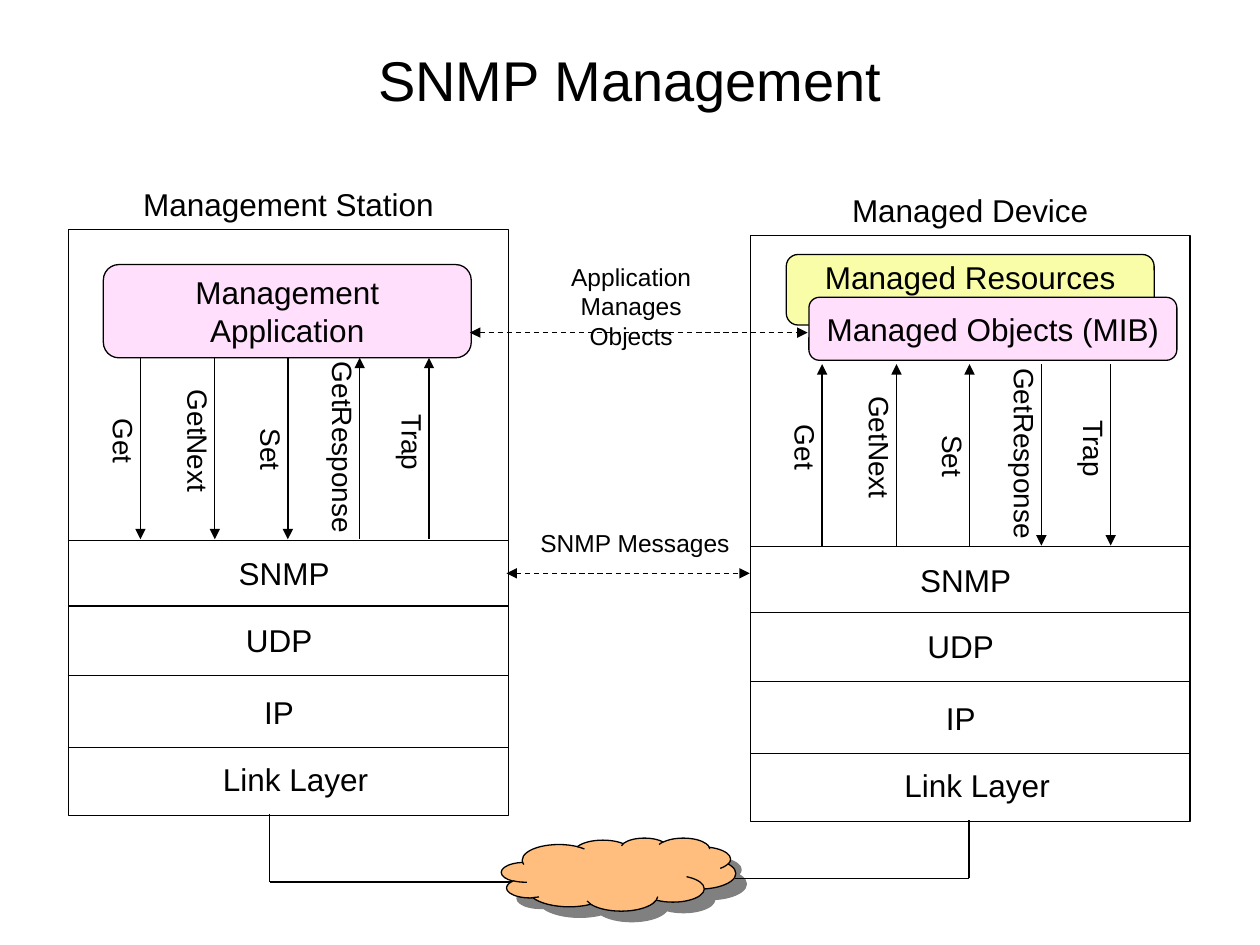
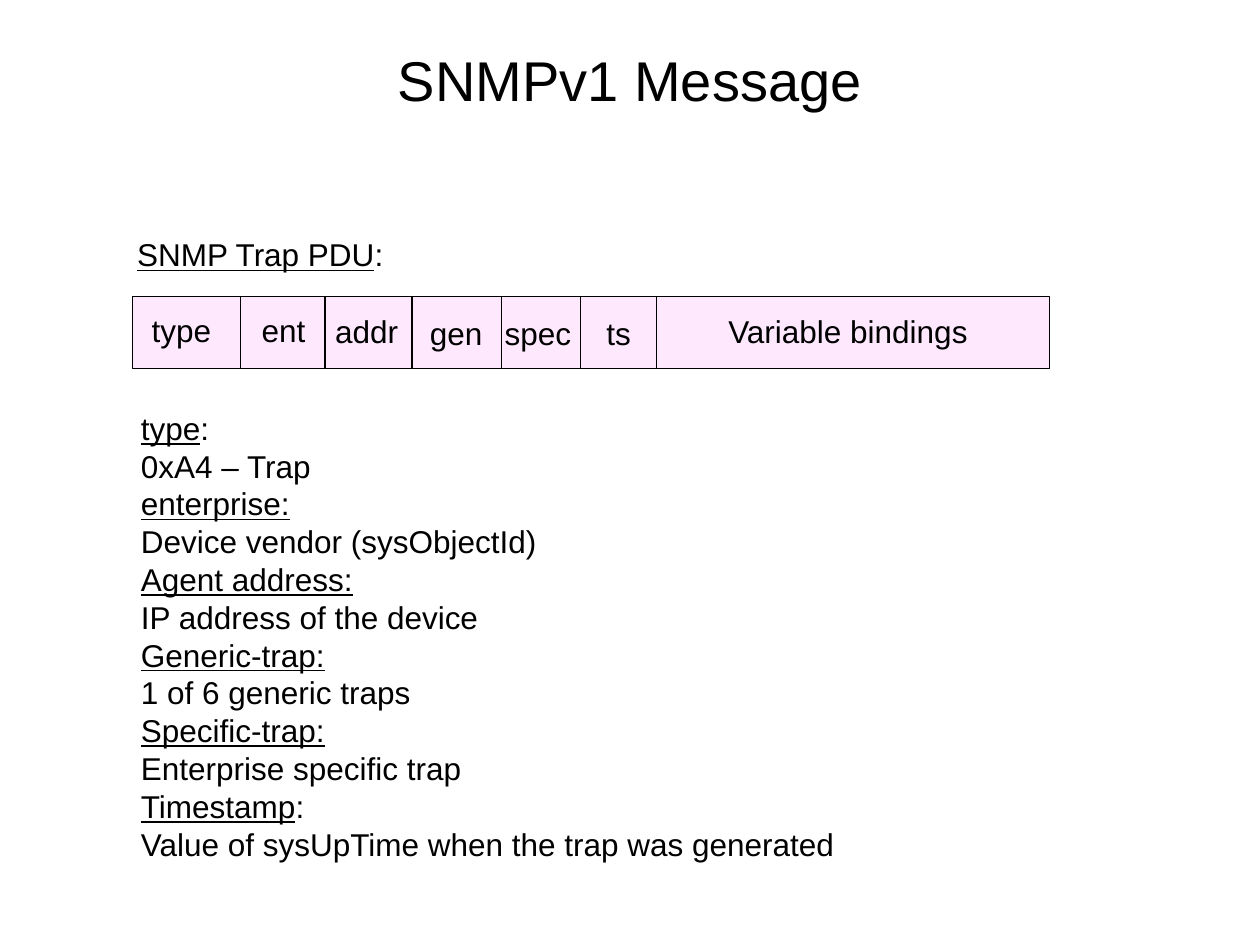
"""Builds two slides on SNMP: the management architecture and the trap message."""
from dataclasses import dataclass

from lxml import etree
from pptx import Presentation
from pptx.dml.color import RGBColor
from pptx.enum.dml import MSO_LINE
from pptx.enum.shapes import MSO_CONNECTOR, MSO_SHAPE
from pptx.enum.text import MSO_ANCHOR, PP_ALIGN
from pptx.oxml.ns import qn
from pptx.shapes.autoshape import Shape
from pptx.slide import Slide
from pptx.text.text import TextFrame
from pptx.util import Emu, Inches, Pt

RECTANGLE = MSO_SHAPE.RECTANGLE
ROUNDED = MSO_SHAPE.ROUNDED_RECTANGLE
CLOUD = MSO_SHAPE.CLOUD
STRAIGHT = MSO_CONNECTOR.STRAIGHT
DASH = MSO_LINE.DASH
LEFT, CENTER = PP_ALIGN.LEFT, PP_ALIGN.CENTER
TOP, MIDDLE = MSO_ANCHOR.TOP, MSO_ANCHOR.MIDDLE

WIDTH, HEIGHT = Inches(10), Inches(7.5)
COLUMNS, ROWS = 100, 75
FONT = "Arial"
BLACK, WHITE, GREY = "000000", "FFFFFF", "808080"
PINK, PALE_PINK, YELLOW, ORANGE = "FFDFFC", "FEE8FE", "F9FDA7", "FFBE7D"
TITLE_SIZE, BODY_SIZE, CALL_SIZE, NOTE_SIZE = 32, 18, 16, 14
STACK_WIDTH, STACK_HEIGHT = 34.9, 46.5


@dataclass(frozen=True)
class Span:
    """A stretch of text, underlined or not."""
    text: str
    underlined: bool = False


@dataclass(frozen=True)
class Stack:
    """A protocol stack at a grid position."""
    caption: str
    left: float
    top: float
    calls_arrive: bool


@dataclass(frozen=True)
class Layer:
    """A layer, with its top edge and label centre inside the stack."""
    name: str
    top: float
    label_x: float
    label_y: float


@dataclass(frozen=True)
class Call:
    """An SNMP operation, with its arrow and label inside the stack."""
    name: str
    arrow_x: float
    label_y: float
    is_request: bool


@dataclass(frozen=True)
class Field:
    """A message field, with its right edge and label centre."""
    name: str
    right: float
    label_x: float
    label_y: float


STACKS = [
    Stack("Management Station", 5.45, 18.2, False),
    Stack("Managed Device", 59.55, 18.7, True),
]
LAYERS = [
    Layer("SNMP", 24.7, 17.1, 27.3),
    Layer("UDP", 29.9, 16.7, 32.6),
    Layer("IP", 35.4, 16.7, 38.3),
    Layer("Link Layer", 41.1, 18, 43.6),
]
CALLS = [
    Call("Get", 5.7, 16.8, True),
    Call("GetNext", 11.6, 16.8, True),
    Call("Set", 17.4, 17.5, True),
    Call("GetResponse", 23.1, 17.3, False),
    Call("Trap", 28.6, 16.9, False),
]
FIELDS = [
    Field("type", 19.1, 14.4, 26.2),
    Field("ent", 25.8, 22.5, 26.2),
    Field("addr", 32.7, 29.1, 26.3),
    Field("gen", 39.8, 36.2, 26.4),
    Field("spec", 46.1, 42.7, 26.4),
    Field("ts", 52.1, 49.1, 26.4),
    Field("Variable bindings", 83.3, 67.3, 26.3),
]
FIELD_NOTES = [
    [Span("type", True), Span(":")],
    [Span("0xA4 – Trap")],
    [Span("enterprise:", True)],
    [Span("Device vendor (sysObjectId)")],
    [Span("Agent address:", True)],
    [Span("IP address of the device")],
    [Span("Generic-trap:", True)],
    [Span("1 of 6 generic traps")],
    [Span("Specific-trap:", True)],
    [Span("Enterprise specific trap")],
    [Span("Timestamp", True), Span(":")],
    [Span("Value of sysUpTime when the trap was generated")],
]


def column(count: float) -> Emu:
    """Length of a number of grid columns."""
    return Emu(round(WIDTH * count / COLUMNS))


def row(count: float) -> Emu:
    """Length of a number of grid rows."""
    return Emu(round(HEIGHT * count / ROWS))


def color(value: str) -> RGBColor:
    """Colour from a hex string."""
    return RGBColor.from_string(value)


def write(frame: TextFrame, lines: list[list[Span]], size: float,
          alignment: PP_ALIGN = CENTER) -> None:
    """Fill a text frame, one paragraph a line and one run a span."""
    for index, line in enumerate(lines):
        para = frame.add_paragraph() if index else frame.paragraphs[0]
        para.alignment = alignment
        for span in line:
            run = para.add_run()
            run.text = span.text
            run.font.name = FONT
            run.font.size = Pt(size)
            run.font.color.rgb = color(BLACK)
            if span.underlined:
                run.font.underline = True


def add_page(deck: Presentation, title: str) -> Slide:
    """Add a title-only slide with the shared title style."""
    page = deck.slides.add_slide(deck.slide_layouts[5])
    box = page.shapes.title
    box.left, box.top = column(5), row(0)
    box.width, box.height = column(90), row(12.5)
    box.text_frame.vertical_anchor = MIDDLE
    write(box.text_frame, [[Span(title)]], TITLE_SIZE)
    return page


def add_box(page: Slide, kind: MSO_SHAPE, left: float, top: float, width: float,
            height: float, fill: str, lines: tuple[str, ...] = (),
            anchor: MSO_ANCHOR = MIDDLE) -> Shape:
    """Draw an outlined shape with optional centred lines of text."""
    box = page.shapes.add_shape(kind, column(left), row(top), column(width), row(height))
    box.shadow.inherit = False
    box.fill.solid()
    box.fill.fore_color.rgb = color(fill)
    box.line.color.rgb = color(BLACK)
    box.line.width = Pt(0.75)
    if lines:
        frame = box.text_frame
        frame.margin_left = frame.margin_right = frame.margin_top = frame.margin_bottom = 0
        frame.vertical_anchor = anchor
        write(frame, [[Span(line)] for line in lines], BODY_SIZE)
    return box


def add_text(page: Slide, left: float, top: float, width: float, height: float,
             lines: list[list[Span]], size: float = BODY_SIZE,
             alignment: PP_ALIGN = LEFT) -> Shape:
    """Add a wrapping text box."""
    box = page.shapes.add_textbox(column(left), row(top), column(width), row(height))
    box.text_frame.word_wrap = True
    write(box.text_frame, lines, size, alignment)
    return box


def add_label(page: Slide, center: float, middle: float, text: str,
              size: float = BODY_SIZE, rotation: float = 0) -> None:
    """Centre a single-line label on a grid point."""
    width = 2 + len(text) * size * 0.11
    height = 1 + size / 6
    box = add_text(page, center - width / 2, middle - height / 2, width, height,
                   [[Span(text)]], size, CENTER)
    box.text_frame.word_wrap = False
    box.text_frame.vertical_anchor = MIDDLE
    box.rotation = rotation


def add_line(page: Slide, start: tuple[float, float], end: tuple[float, float],
             ends: tuple[str, ...] = (), dashed: bool = False) -> None:
    """Draw a straight line with arrowheads at the named ends."""
    line = page.shapes.add_connector(STRAIGHT, column(start[0]), row(start[1]),
                                     column(end[0]), row(end[1]))
    line.line.color.rgb = color(BLACK)
    line.line.width = Pt(0.75)
    if dashed:
        line.line.dash_style = DASH
    outline = line.line._get_or_add_ln()
    for name in ends:
        etree.SubElement(outline, qn(f"a:{name}"), type="triangle")
    etree.SubElement(line._element.spPr, qn("a:effectLst"))


def add_network(page: Slide) -> None:
    """Draw the network cloud with its hard drop shadow."""
    cloud = add_box(page, CLOUD, 39.8, 66.5, 18.6, 5.8, ORANGE)
    effects = cloud._element.spPr.find(qn("a:effectLst"))
    shadow = etree.SubElement(effects, qn("a:outerShdw"), blurRad="0",
                              dist=str(Pt(8.5)), dir="2700000", algn="ctr", rotWithShape="0")
    etree.SubElement(shadow, qn("a:srgbClr"), val=GREY)


def add_stack(page: Slide, stack: Stack) -> None:
    """Draw one protocol stack with its layers and calls."""
    left, top = stack.left, stack.top
    add_box(page, RECTANGLE, left, top, STACK_WIDTH, STACK_HEIGHT, WHITE)
    add_label(page, left + STACK_WIDTH / 2, top - 2, stack.caption)
    for layer in LAYERS:
        edge = top + layer.top
        add_line(page, (left, edge), (left + STACK_WIDTH, edge))
        add_label(page, left + layer.label_x, top + layer.label_y, layer.name)
    for call in CALLS:
        x = left + call.arrow_x
        end = "headEnd" if call.is_request == stack.calls_arrive else "tailEnd"
        add_line(page, (x, top + 10.2), (x, top + 24.6), (end,))
        add_label(page, x - 1.3, top + call.label_y, call.name, CALL_SIZE, 90)


def build_management(deck: Presentation) -> None:
    """Build the slide on the management architecture."""
    page = add_page(deck, "SNMP Management")
    for stack in STACKS:
        add_stack(page, stack)
    add_box(page, ROUNDED, 8.2, 21, 29.2, 7.4, PINK, ("Management", "Application"))
    add_box(page, ROUNDED, 62.4, 20.2, 29.2, 5.6, YELLOW, ("Managed Resources",), TOP)
    add_box(page, ROUNDED, 64.2, 23.6, 29.2, 5, PINK, ("Managed Objects (MIB)",))
    both = ("headEnd", "tailEnd")
    add_line(page, (37.3, 26.4), (64.1, 26.4), both, dashed=True)
    add_line(page, (40.2, 45.5), (59.5, 45.5), both, dashed=True)
    add_label(page, 50.4, 43.1, "SNMP Messages", NOTE_SIZE)
    add_text(page, 42.6, 20.3, 15, 8, [[Span("Application")], [Span("Manages Objects")]],
             NOTE_SIZE, CENTER)
    add_line(page, (21.4, 64.6), (21.4, 70))
    add_line(page, (21.4, 70), (41.8, 70))
    add_network(page)
    add_line(page, (58.3, 69.7), (76.9, 69.7))
    add_line(page, (76.9, 69.7), (76.9, 65.1))


def build_message(deck: Presentation) -> None:
    """Build the slide on the trap message and its fields."""
    page = add_page(deck, "SNMPv1 Message")
    left, top, height = 10.5, 23.55, 5.7
    add_text(page, 9.9, 18.2, 21.7, 4, [[Span("SNMP Trap PDU", True), Span(":")]])
    add_box(page, RECTANGLE, left, top, FIELDS[-1].right - left, height, PALE_PINK)
    for field in FIELDS[:-1]:
        add_line(page, (field.right, top), (field.right, top + height))
    for field in FIELDS:
        add_label(page, field.label_x, field.label_y, field.name)
    add_text(page, 10.2, 31.95, 62.1, 40.1, FIELD_NOTES)


def main() -> None:
    """Build and save the deck."""
    deck = Presentation()
    deck.slide_width, deck.slide_height = WIDTH, HEIGHT
    build_management(deck)
    build_message(deck)
    deck.save("out.pptx")


main()
